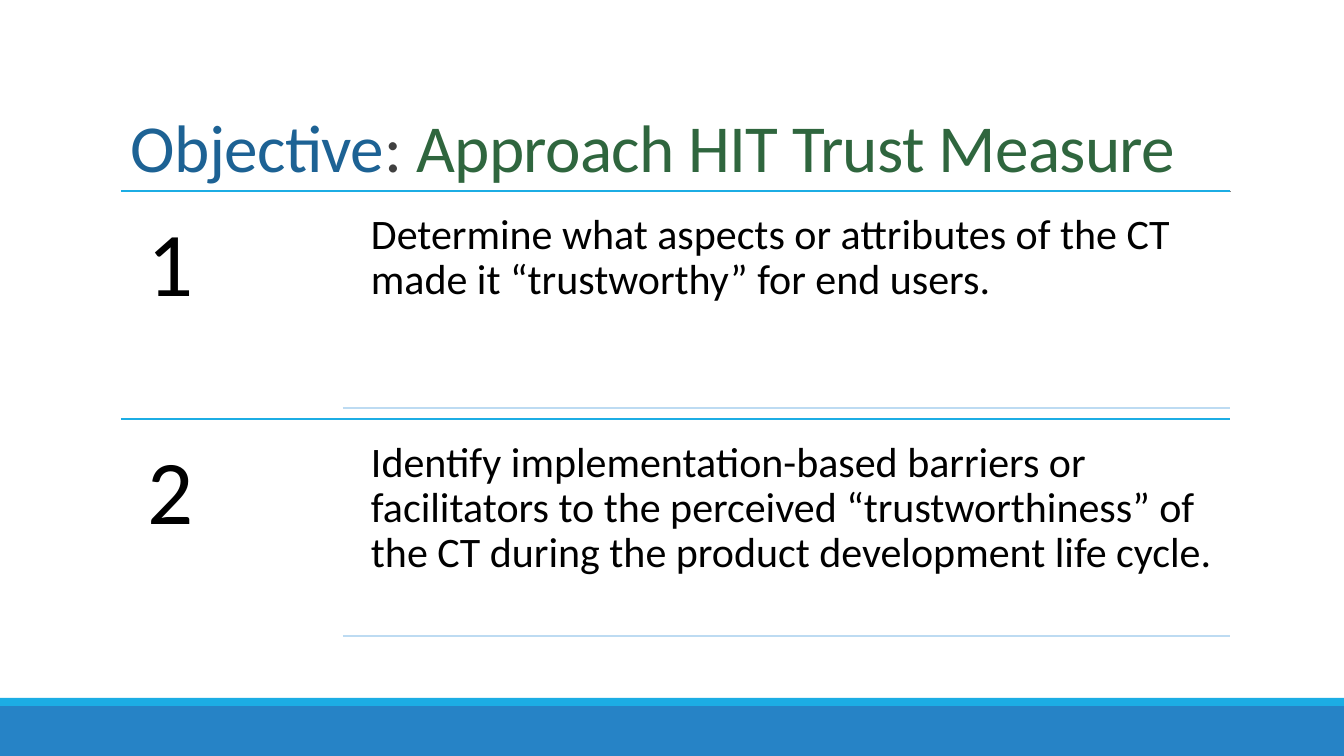
from lxml.etree import SubElement
from pptx import Presentation
from pptx.dml.color import RGBColor
from pptx.enum.shapes import MSO_CONNECTOR, MSO_SHAPE
from pptx.enum.text import MSO_ANCHOR, MSO_AUTO_SIZE, PP_ALIGN
from pptx.oxml.ns import qn
from pptx.util import Emu, Pt

BLUE = RGBColor(0x26, 0x83, 0xC6)
CYAN = RGBColor(0x1C, 0xAD, 0xE4)
PALE_BLUE = RGBColor(0xBD, 0xDB, 0xF2)
GRAY = RGBColor(0x80, 0x80, 0x80)
DARK_GRAY = RGBColor(0x40, 0x40, 0x40)
TITLE_BLUE = RGBColor(0x1D, 0x62, 0x94)
TITLE_GREEN = RGBColor(0x2F, 0x66, 0x3E)
BLACK = RGBColor(0, 0, 0)

# Content
TITLE = [("Objective", TITLE_BLUE), (": ", DARK_GRAY),
         ("Approach HIT Trust Measure", TITLE_GREEN)]
OBJECTIVES = [
    "Determine what aspects or attributes of the CT made it “trustworthy” for end users.",
    "Identify implementation-based barriers or facilitators to the perceived "
    "“trustworthiness” of the CT during the product development life cycle.",
]

# Layout in px
WIDTH, HEIGHT = 1344, 756
LEFT, RIGHT = 121, 1230
TITLE_TOP, LIST_TOP, ROW_HEIGHT = 31, 191, 228
NUMBER_WIDTH = 222
TEXT_LEFT, TEXT_WIDTH, TEXT_HEIGHT, TEXT_OFFSET = 359, 870, 207, 10
RULE_LEFT, RULE_OFFSET = 343, 217
BARS = [(706, 50, BLUE), (698, 8, CYAN)]


def px(value):
    return Emu(round(value * 914400 / 100.8))


def write_text(shape, runs, *, size, inset=(10, 5), line_spacing=0.9,
               anchor=MSO_ANCHOR.TOP, tracking=None):
    frame = shape.text_frame
    frame.word_wrap = True
    frame.auto_size = MSO_AUTO_SIZE.NONE
    frame.vertical_anchor = anchor
    frame.margin_left = frame.margin_right = px(inset[0])
    frame.margin_top = frame.margin_bottom = px(inset[1])
    paragraph = frame.paragraphs[0]
    paragraph.alignment = PP_ALIGN.LEFT
    paragraph.line_spacing = line_spacing
    for text, color in runs:
        run = paragraph.add_run()
        run.text = text
        run.font.name = "Calibri"
        run.font.size = Pt(size)
        run.font.color.rgb = color
        if tracking is not None:
            run.font._element.set("spc", str(tracking))


def add_rule(slide, left, right, y, color, weight=1.25):
    rule = slide.shapes.add_connector(
        MSO_CONNECTOR.STRAIGHT, px(left), px(y), px(right), px(y))
    rule.line.color.rgb = color
    rule.line.width = Pt(weight)
    SubElement(rule._element.spPr, qn("a:effectLst"))


def add_text(slide, text, left, top, width, height, **text_format):
    box = slide.shapes.add_textbox(px(left), px(top), px(width), px(height))
    write_text(box, [(text, BLACK)], **text_format)


def main():
    presentation = Presentation()
    presentation.slide_width, presentation.slide_height = px(WIDTH), px(HEIGHT)
    slide = presentation.slides.add_slide(presentation.slide_layouts[5])

    # Footer bars
    for top, height, color in BARS:
        bar = slide.shapes.add_shape(
            MSO_SHAPE.RECTANGLE, 0, px(top), px(WIDTH), px(height))
        bar.shadow.inherit = False
        bar.fill.solid()
        bar.fill.fore_color.rgb = color
        bar.line.fill.background()

    # Title
    title = slide.shapes.title
    title.left, title.top = px(LEFT), px(TITLE_TOP)
    title.width, title.height = px(RIGHT - LEFT), px(LIST_TOP - TITLE_TOP)
    write_text(title, TITLE, size=48, line_spacing=0.85,
               anchor=MSO_ANCHOR.BOTTOM, tracking=-50)
    add_rule(slide, 132, 1231, LIST_TOP, GRAY, weight=0.5)

    # Numbered objectives
    for index, objective in enumerate(OBJECTIVES):
        top = LIST_TOP + index * ROW_HEIGHT
        add_rule(slide, LEFT, RIGHT, top, CYAN)
        add_text(slide, str(index + 1), LEFT, top, NUMBER_WIDTH, ROW_HEIGHT,
                 size=65, inset=(27, 27))
        add_text(slide, objective, TEXT_LEFT, top + TEXT_OFFSET, TEXT_WIDTH,
                 TEXT_HEIGHT, size=30, inset=(12, 12))
        add_rule(slide, RULE_LEFT, RIGHT, top + RULE_OFFSET, PALE_BLUE)

    presentation.save("out.pptx")


if __name__ == "__main__":
    main()
